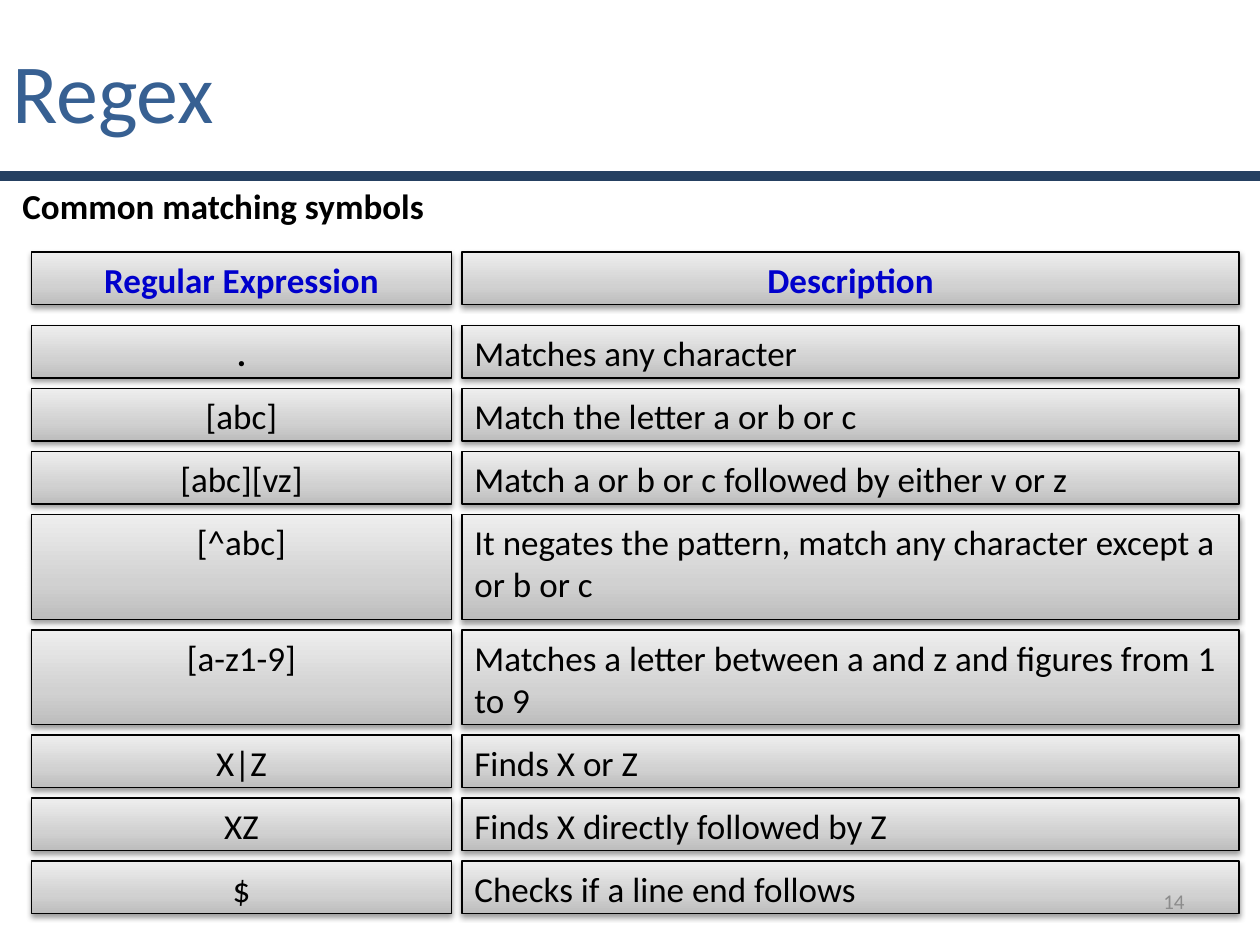
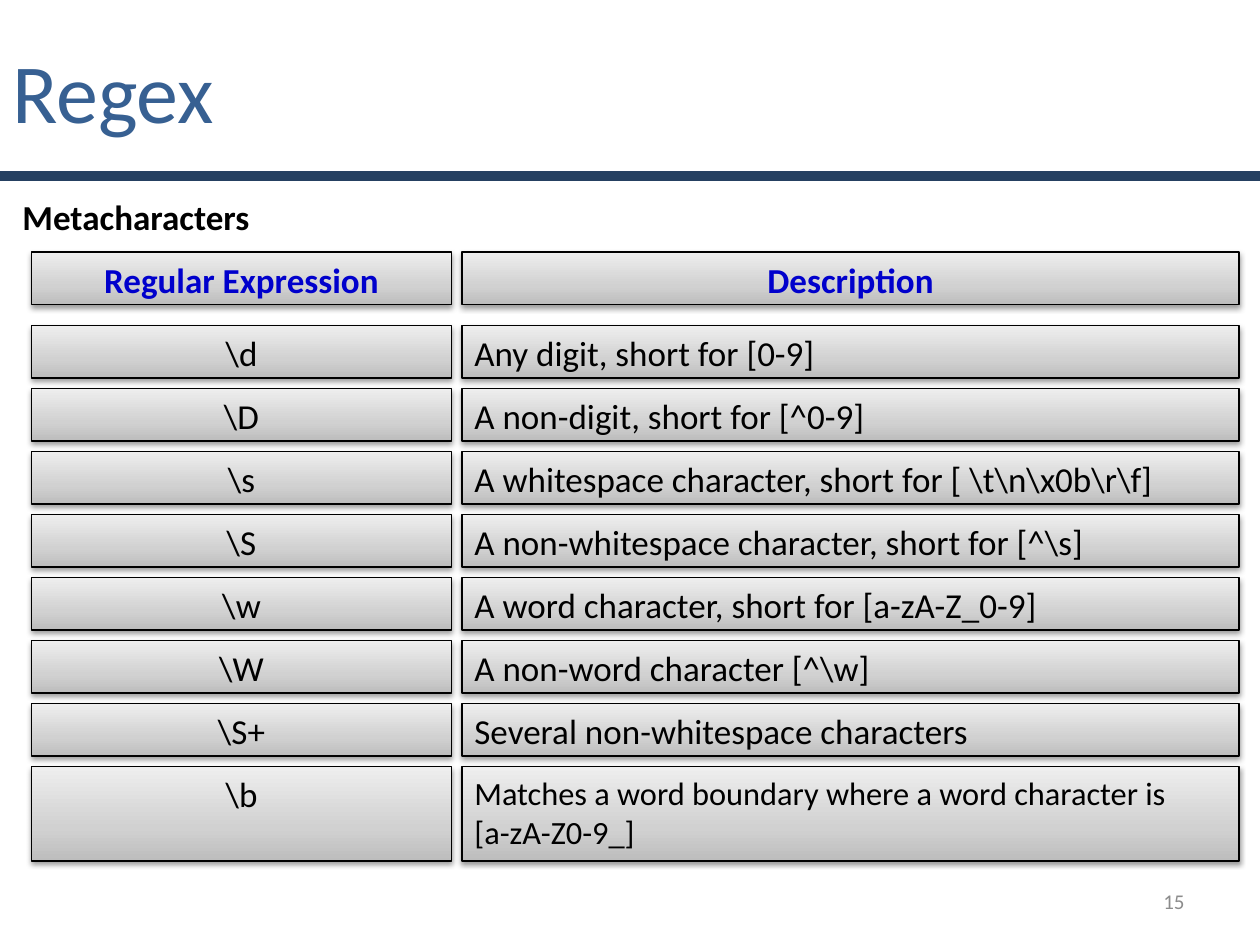
from lxml import etree
from pptx import Presentation
from pptx import util as u
from pptx.dml.color import RGBColor
from pptx.enum import shapes, text

# Content: each row is pattern, description, height in grid units
SLIDES = [
    dict(number=14, heading="Common matching symbols", heading_top=17, rows=[
        (".", "Matches any character", 5),
        ("[abc]", "Match the letter a or b or c", 5),
        ("[abc][vz]", "Match a or b or c followed by either v or z", 5),
        ("[^abc]", "It negates the pattern, match any character except a or b or c", 10),
        ("[a-z1-9]", "Matches a letter between a and z and figures from 1 to 9", 9),
        ("X|Z", "Finds X or Z", 5),
        ("XZ", "Finds X directly followed by Z", 5),
        ("$", "Checks if a line end follows", 5),
    ]),
    dict(number=15, heading="Metacharacters", heading_top=18, rows=[
        (r"\d", "Any digit, short for [0-9]", 5),
        (r"\D", "A non-digit, short for [^0-9]", 5),
        (r"\s", r"A whitespace character, short for [ \t\n\x0b\r\f]", 5),
        (r"\S", r"A non-whitespace character, short for [^\s]", 5),
        (r"\w", "A word character, short for [a-zA-Z_0-9]", 5),
        (r"\W", r"A non-word character [^\w]", 5),
        (r"\S+", "Several non-whitespace characters", 5),
        (r"\b", "Matches a word boundary where a word character is\n[a-zA-Z0-9_]", 9),
    ]),
]
TITLE = "Regex"
HEADER = ("Regular Expression", "Description")

# Grid: twelve units to the inch
UNIT = u.Inches(1) // 12
COLUMNS = ((3, 40), (44, 74))  # left, width
HEADER_TOP, ROWS_TOP, ROW, GAP = 24, 31, 5, 1

# Colours
NAVY = RGBColor(0x25, 0x40, 0x61)
STEEL = RGBColor(0x37, 0x60, 0x92)
BLUE = RGBColor(0x00, 0x00, 0xCC)
BLACK = RGBColor(0x00, 0x00, 0x00)
GREY = RGBColor(0x8C, 0x8C, 0x8C)
CELL_STOPS = ((0, RGBColor(0xBD, 0xBD, 0xBD)), (35, RGBColor(0xD1, 0xD1, 0xD1)),
              (100, RGBColor(0xEE, 0xEE, 0xEE)))

LEFT, CENTER, RIGHT = text.PP_ALIGN.LEFT, text.PP_ALIGN.CENTER, text.PP_ALIGN.RIGHT
TOP, MIDDLE = text.MSO_ANCHOR.TOP, text.MSO_ANCHOR.MIDDLE
NS = 'xmlns:a="http://schemas.openxmlformats.org/drawingml/2006/main"'
STOPS = "".join(f'<a:gs pos="{pos * 1000}"><a:srgbClr val="{color}"/></a:gs>'
                for pos, color in CELL_STOPS)
GRADIENT = (f'<a:gradFill {NS} rotWithShape="1"><a:gsLst>{STOPS}</a:gsLst>'
            '<a:lin ang="16200000" scaled="0"/></a:gradFill>')
SHADOW = (f'<a:effectLst {NS}><a:outerShdw blurRad="40000" dist="20000" dir="5400000" '
          'rotWithShape="0"><a:srgbClr val="000000"><a:alpha val="38000"/></a:srgbClr>'
          '</a:outerShdw></a:effectLst>')


def write(sp, words, size=20, color=BLACK, bold=False, align=LEFT, anchor=TOP):
    """Fill a shape with text, one paragraph per line."""
    tf = sp.text_frame
    tf.word_wrap = True
    tf.vertical_anchor = anchor
    for i, line in enumerate(words.split("\n")):
        p = tf.add_paragraph() if i else tf.paragraphs[0]
        p.alignment = align
        r = p.add_run()
        r.text = line
        r.font.size, r.font.name, r.font.color.rgb = u.Pt(size), "Calibri", color
        r.font.bold = bold


def add_label(s, box, words, **look):
    write(s.shapes.add_textbox(*map(u.Inches, box)), words, **look)


def add_cell(s, column, top, height, words, **look):
    left, width = COLUMNS[column]
    sp = s.shapes.add_shape(shapes.MSO_SHAPE.RECTANGLE,
                            *(UNIT * n for n in (left, top, width, height)))
    props = sp.fill._xPr
    props.append(etree.fromstring(GRADIENT))
    sp.line.color.rgb, sp.line.width = BLACK, u.Pt(0.75)
    props.append(etree.fromstring(SHADOW))
    write(sp, words, **look)


def add_frame(s):
    """Band and title shared by all slides."""
    band = s.shapes.add_shape(shapes.MSO_SHAPE.RECTANGLE, 0, u.Inches(1.37),
                              prs.slide_width, u.Inches(0.05))
    band.shadow.inherit = False
    band.fill.solid()
    band.fill.fore_color.rgb = band.line.color.rgb = NAVY
    band.line.width = u.Pt(2)
    add_label(s, (0, 0, 7.83, 1.42), TITLE, size=48, color=STEEL, anchor=MIDDLE)


def add_rows(s, rows):
    for column, words in enumerate(HEADER):
        add_cell(s, column, HEADER_TOP, ROW, words, color=BLUE, bold=True, align=CENTER)
    top = ROWS_TOP
    for pattern, description, height in rows:
        add_cell(s, 0, top, height, pattern, bold=pattern == ".", align=CENTER)
        add_cell(s, 1, top, height, description, size=18.5 if "\n" in description else 20)
        top += height + GAP


prs = Presentation()
prs.slide_width, prs.slide_height = u.Inches(10), u.Inches(7.5)
for content in SLIDES:
    s = prs.slides.add_slide(prs.slide_layouts[6])
    add_frame(s)
    add_label(s, (0.08, content["heading_top"] / 12, 3.67, 0.42), content["heading"], bold=True)
    add_rows(s, content["rows"])
    add_label(s, (7.17, 6.95, 2.33, 0.4), str(content["number"]), size=12, color=GREY,
              align=RIGHT, anchor=MIDDLE)
prs.save("out.pptx")
